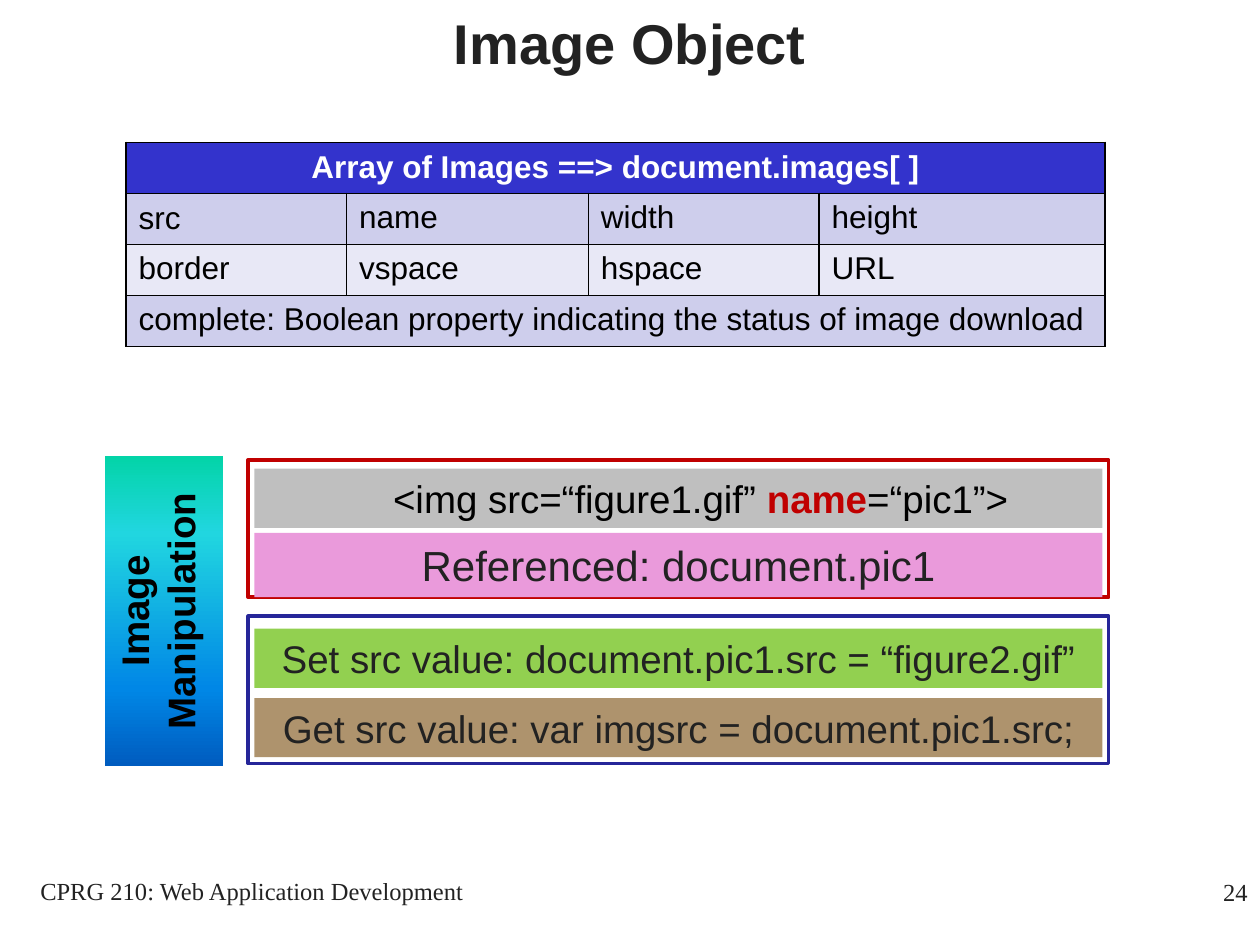
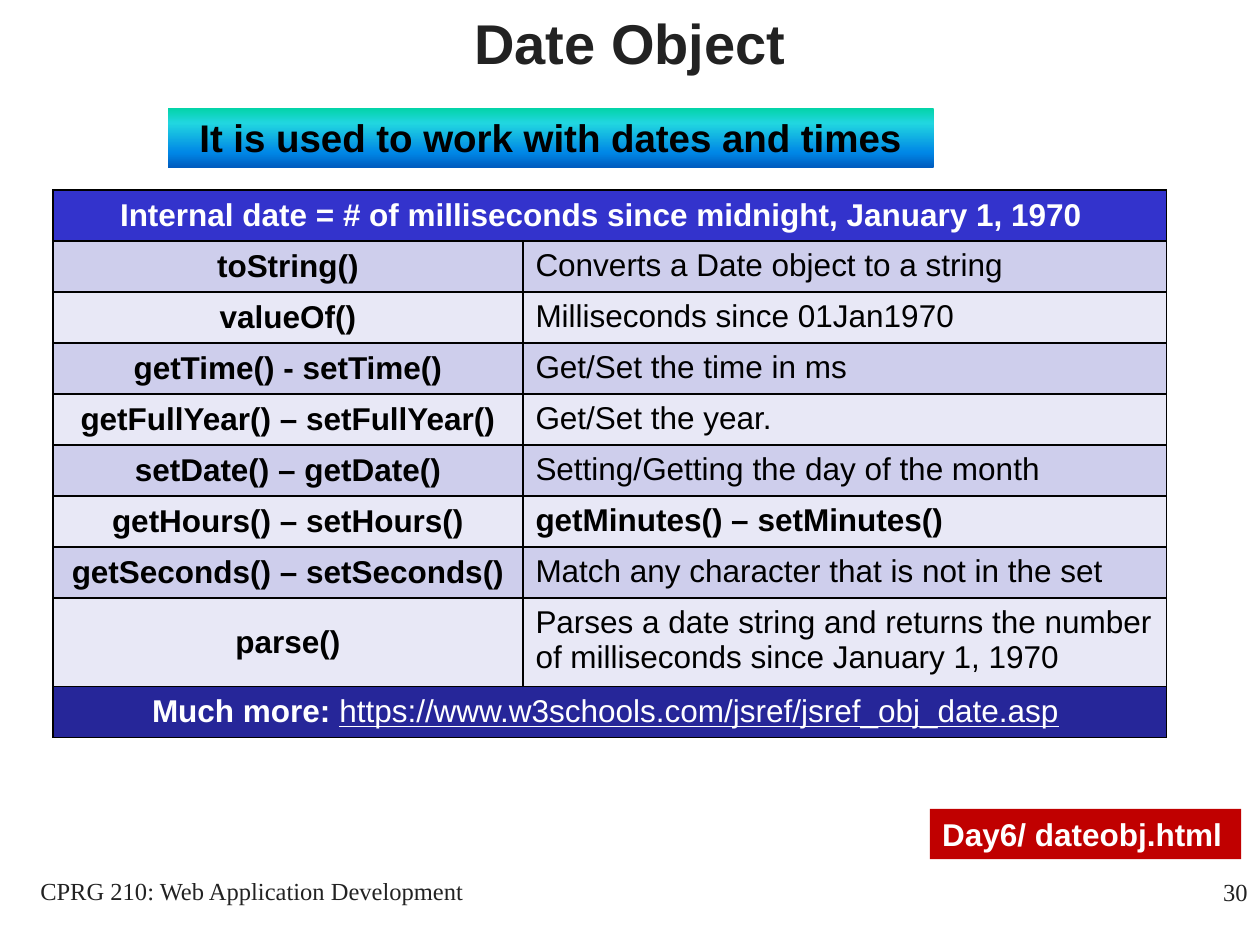
"""Build two course slides about the JavaScript Image and Date objects."""
from dataclasses import dataclass
from typing import NamedTuple, Optional

from lxml import etree
from pptx import Presentation
from pptx import util as u
from pptx.dml.color import RGBColor
from pptx.enum import shapes, text
from pptx.oxml.ns import qn

COLORS = {
    "ink": "222222", "black": "000000", "white": "FFFFFF", "red": "C00000",
    "header": "3333CC", "navy": "262699", "odd": "CECEEC", "even": "E8E8F6",
    "gray": "BFBFBF", "pink": "EA9ADB", "green": "92D050", "brown": "886128",
}
OCEAN = [(0, "03D4A8"), (25, "21D6E0"), (75, "0087E6"), (100, "005CBF")]
WIDTH, HEIGHT = u.Inches(10), u.Inches(7.5)
COLUMN, ROW = WIDTH / 100, HEIGHT / 75
TABLE_ROW = 4.05
LEFT, CENTER, RIGHT = text.PP_ALIGN.LEFT, text.PP_ALIGN.CENTER, text.PP_ALIGN.RIGHT
TOP, MIDDLE = text.MSO_ANCHOR.TOP, text.MSO_ANCHOR.MIDDLE


class Box(NamedTuple):
    """An area counted in grid columns and rows."""
    left: float
    top: float
    width: float
    height: float

    def lengths(self) -> tuple:
        """Return left, top, width and height as slide lengths."""
        return tuple(round(n * unit) for n, unit in zip(self, (COLUMN, ROW) * 2))


class Phrase(NamedTuple):
    """A stretch of text in one style."""
    words: str
    color: str = "black"
    bold: bool = False
    underline: bool = False


@dataclass
class Panel:
    """A filled or outlined rectangle with optional text."""
    box: Box
    phrases: tuple = ()
    fill: Optional[str] = None
    line: Optional[str] = None
    size: int = 22
    align: int = CENTER
    anchor: int = TOP
    opacity: int = 100
    indent: float = 1
    vertical: bool = False


@dataclass
class Cell:
    """The content and look of one table cell."""
    phrases: tuple
    fill: str
    align: int = LEFT
    anchor: int = TOP
    span: int = 1
    right_margin: float = 1


def rgb(name: str) -> RGBColor:
    """Look up a named colour."""
    return RGBColor.from_string(COLORS[name])


def write(frame, phrases: tuple, size: int, align: int, font: str = "Arial") -> None:
    """Put styled phrases into the first paragraph of a text frame."""
    paragraph = frame.paragraphs[0]
    paragraph.text = phrases[0].words
    for phrase in phrases[1:]:
        paragraph.add_run().text = phrase.words
    paragraph.alignment = align
    for run, phrase in zip(paragraph.runs, phrases):
        run.font.name, run.font.size = font, u.Pt(size)
        run.font.bold, run.font.underline = phrase.bold, phrase.underline
        run.font.color.rgb = rgb(phrase.color)


def paint_ocean(shape) -> None:
    """Fill a shape with the top-to-bottom ocean gradient."""
    shape.fill.gradient()
    shape.fill.gradient_angle = 270
    stops = shape.element.spPr.find(qn("a:gradFill")).find(qn("a:gsLst"))
    for stop in list(stops):
        stops.remove(stop)
    for share, color in OCEAN:
        stop = etree.SubElement(stops, qn("a:gs"), pos=str(share * 1000))
        etree.SubElement(stop, qn("a:srgbClr"), val=color)


def add_panel(slide, panel: Panel) -> None:
    """Draw one panel."""
    shape = slide.shapes.add_shape(shapes.MSO_SHAPE.RECTANGLE, *panel.box.lengths())
    shape.shadow.inherit = False
    if panel.fill == "ocean":
        paint_ocean(shape)
    elif panel.fill:
        shape.fill.solid()
        shape.fill.fore_color.rgb = rgb(panel.fill)
        if panel.opacity < 100:
            color = shape.element.spPr.find(qn("a:solidFill"))[0]
            etree.SubElement(color, qn("a:alpha"), val=str(panel.opacity * 1000))
    else:
        shape.fill.background()
    if panel.line:
        shape.line.color.rgb = rgb(panel.line)
        shape.line.width = u.Pt(2)
    else:
        shape.line.fill.background()
    if panel.phrases:
        frame = shape.text_frame
        frame.word_wrap, frame.vertical_anchor = True, panel.anchor
        frame.margin_left = round(panel.indent * COLUMN)
        write(frame, panel.phrases, panel.size, panel.align)
        if panel.vertical:
            shape.element.txBody.find(qn("a:bodyPr")).set("vert", "vert270")


def add_borders(cell) -> None:
    """Give a cell a thin black line on every side."""
    properties = cell._tc.get_or_add_tcPr()
    for side in ("lnL", "lnR", "lnT", "lnB"):
        line = etree.SubElement(properties, qn(f"a:{side}"), w=str(int(u.Pt(1))))
        paint = etree.SubElement(line, qn("a:solidFill"))
        etree.SubElement(paint, qn("a:srgbClr"), val=COLORS["black"])


def add_grid(slide, left: float, top: float, widths: list, rows: list,
             heights: list) -> None:
    """Draw a table from rows of cells."""
    box = Box(left, top, sum(widths), sum(heights))
    grid = slide.shapes.add_table(len(rows), len(widths), *box.lengths()).table
    grid.first_row = grid.horz_banding = False
    for column, width in zip(grid.columns, widths):
        column.width = round(width * COLUMN)
    for r, (row, height) in enumerate(zip(rows, heights)):
        grid.rows[r].height = round(height * ROW)
        for c in range(len(widths)):
            add_borders(grid.cell(r, c))
        for c, content in enumerate(row):
            cell = grid.cell(r, c)
            if content.span > 1:
                cell.merge(grid.cell(r, c + content.span - 1))
            cell.fill.solid()
            cell.fill.fore_color.rgb = rgb(content.fill)
            cell.vertical_anchor = content.anchor
            cell.margin_right = round(content.right_margin * COLUMN)
            write(cell.text_frame, content.phrases, 18, content.align)


def add_note(slide, box: Box, words: str, align: int) -> None:
    """Write one footer text."""
    frame = slide.shapes.add_textbox(*box.lengths()).text_frame
    frame.word_wrap = True
    write(frame, (Phrase(words, "ink"),), 14, align, "Times New Roman")


def start_slide(deck, title: str, title_left: float, number: int):
    """Add a slide with its title and footer."""
    slide = deck.slides.add_slide(deck.slide_layouts[5])
    heading = slide.shapes.title
    box = Box(title_left, -2.9, 100 - 2 * title_left, 12.5)
    heading.left, heading.top, heading.width, heading.height = box.lengths()
    heading.text_frame.auto_size = text.MSO_AUTO_SIZE.NONE
    heading.text_frame.vertical_anchor = MIDDLE
    write(heading.text_frame, (Phrase(title, "ink", True),), 32, CENTER)
    add_note(slide, Box(79.2, 69.1, 20.8, 5), str(number), RIGHT)
    add_note(slide, Box(0, 69, 40, 5), "CPRG 210: Web Application Development", CENTER)
    return slide


def band(row: int) -> str:
    """Name the fill of a body row counted from zero."""
    return "even" if row % 2 else "odd"


def header(words: str, span: int, right_margin: float = 1) -> Cell:
    """Make a heading cell across the whole table."""
    return Cell((Phrase(words, "white", True),), "header", CENTER, MIDDLE, span,
                right_margin)


def build_image_slide(deck) -> None:
    """Build the slide about the Image object."""
    slide = start_slide(deck, "Image Object", 0, 24)
    properties = [["src", "name", "width", "height"],
                  ["border", "vspace", "hspace", "URL"]]
    rows = [[header("Array of Images ==> document.images[ ]", 4)]]
    rows += [[Cell((Phrase(name),), band(r), anchor=MIDDLE if name == "src" else TOP)
              for name in names] for r, names in enumerate(properties)]
    status = "complete: Boolean property indicating the status of image download"
    rows.append([Cell((Phrase(status),), band(2), span=4)])
    add_grid(slide, 10, 11.3, [17.5, 19.2, 18.3, 22.7], rows, [TABLE_ROW] * 4)

    def strip(top: float, height: float, fill: str, *phrases: Phrase, **look) -> Panel:
        """Make a code strip inside an outline."""
        return Panel(Box(20.2, top, 67.3, height), phrases, fill, **look)

    panels = [
        Panel(Box(8.3, 36.2, 9.4, 24.6), (Phrase("Image Manipulation", bold=True),),
              "ocean", vertical=True),
        Panel(Box(19.7, 36.5, 68.3, 10.9), line="red"),
        strip(37.2, 4.7, "gray", Phrase("<img src=“figure1.gif” "),
              Phrase("name", "red", True), Phrase("=“pic1”>"), align=LEFT, indent=11),
        strip(42.3, 5.1, "pink", Phrase("Referenced: document.pic1", "ink"), size=24),
        strip(49.9, 4.7, "green",
              Phrase("Set src value: document.pic1.src = “figure2.gif”", "ink"),
              anchor=MIDDLE),
        strip(55.4, 4.7, "brown",
              Phrase("Get src value: var imgsrc = document.pic1.src;", "ink"),
              anchor=MIDDLE, opacity=68),
        Panel(Box(19.7, 48.9, 68.3, 11.7), line="navy"),
    ]
    for panel in panels:
        add_panel(slide, panel)


def build_date_slide(deck) -> None:
    """Build the slide about the Date object."""
    slide = start_slide(deck, "Date Object", 5.8, 30)
    add_panel(slide, Panel(Box(13.3, 8.6, 60.8, 4.7), (
        Phrase("It is used to work with dates and times", bold=True),), "ocean"))
    add_panel(slide, Panel(Box(73.8, 64.2, 24.7, 4), (
        Phrase("Day6/ dateobj.html", "white", True),), "red", size=18, align=LEFT))
    methods = [
        ("toString()", "Converts a Date object to a string"),
        ("valueOf()", "Milliseconds since 01Jan1970"),
        ("getTime() - setTime()", "Get/Set the time in ms"),
        ("getFullYear() – setFullYear()", "Get/Set the year."),
        ("setDate() – getDate()", "Setting/Getting the day of the month"),
        ("getHours() – setHours()", "getMinutes() – setMinutes()"),
        ("getSeconds() – setSeconds()", "Match any character that is not in the set"),
        ("parse()", "Parses a date string and returns the number of milliseconds "
                    "since January 1, 1970"),
    ]
    rows = [[header("Internal date = # of milliseconds since midnight, January 1, 1970",
                    2, 2.4)]]
    rows += [[Cell((Phrase(method, bold=True),), band(r), CENTER, MIDDLE),
              Cell((Phrase(purpose, bold=purpose.startswith("getMinutes")),), band(r))]
             for r, (method, purpose) in enumerate(methods)]
    more = (Phrase("Much more: ", "white", True),
            Phrase("https://www.w3schools.com/jsref/jsref_obj_date.asp", "white",
                   underline=True),
            Phrase(" ", "white"))
    rows.append([Cell(more, "navy", CENTER, MIDDLE, 2)])
    heights = [TABLE_ROW] * 8 + [7, TABLE_ROW]
    add_grid(slide, 4.2, 15.1, [37.3, 51.1], rows, heights)


def main() -> None:
    """Build and save the deck."""
    deck = Presentation()
    deck.slide_width, deck.slide_height = WIDTH, HEIGHT
    build_image_slide(deck)
    build_date_slide(deck)
    deck.save("out.pptx")


if __name__ == "__main__":
    main()
